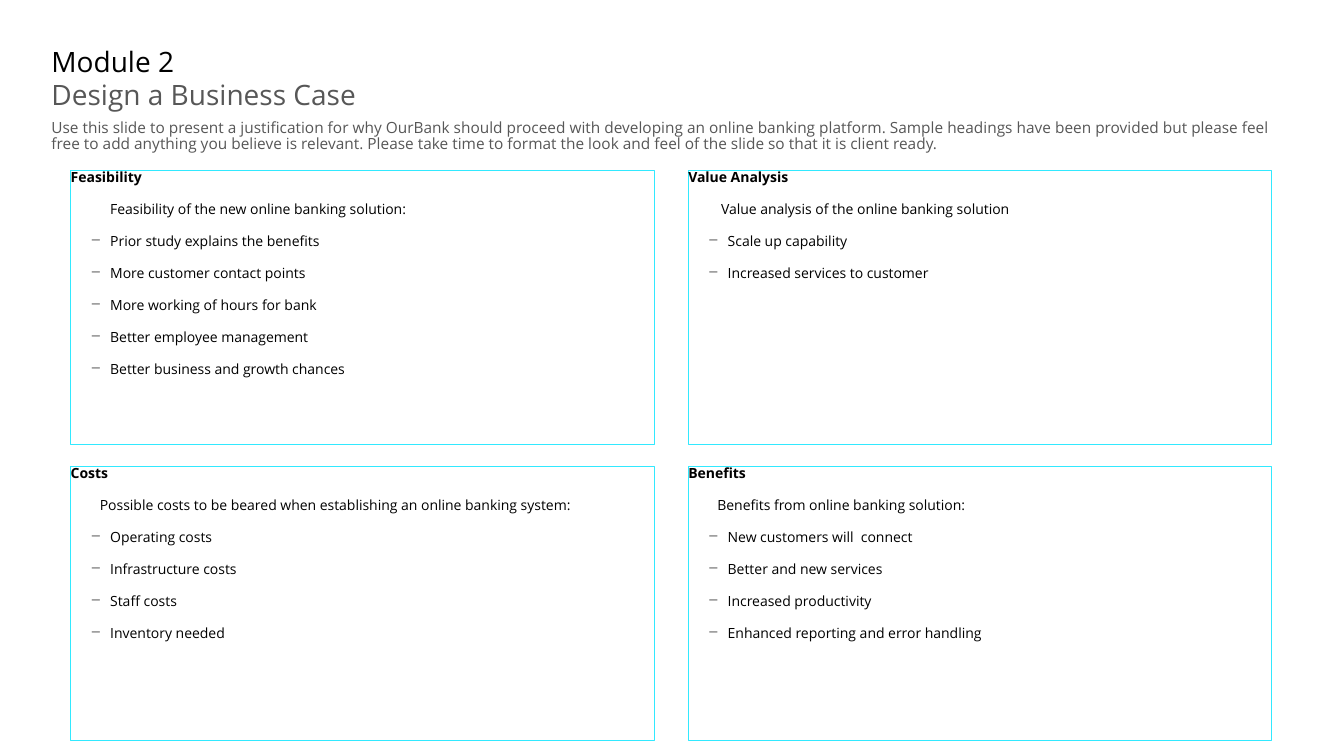
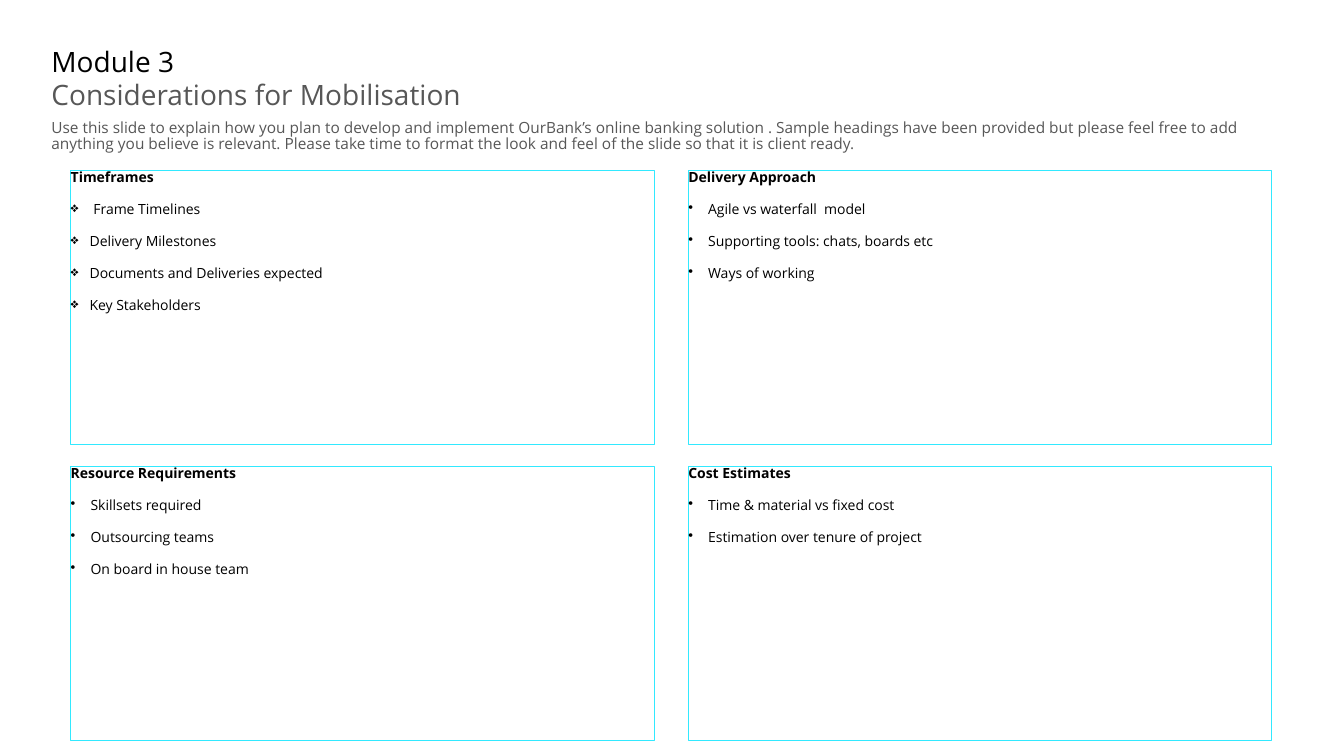
"""Build two module slides, each with a heading block and four framed panels."""
from lxml import etree
from pptx import Presentation
from pptx.dml.color import RGBColor
from pptx.enum.shapes import MSO_SHAPE
from pptx.enum.text import MSO_ANCHOR, PP_ALIGN
from pptx.oxml.ns import qn
from pptx.util import Pt

RECTANGLE = MSO_SHAPE.RECTANGLE
TOP, MIDDLE, LEFT = MSO_ANCHOR.TOP, MSO_ANCHOR.MIDDLE, PP_ALIGN.LEFT

FONT = "Open Sans"
BLACK, GREY, CYAN = "000000", "575757", "32E9FF"
TITLE_ONLY = 5
LINE_SPACING = 0.9

HEADING_LEFT = 36.7
TITLE_AREA = (HEADING_LEFT, 31.7, 721.4, 26.6)
SUBTITLE_AREA = (HEADING_LEFT, 58.3, 721.4, 29.5)
GUIDANCE_AREA = (HEADING_LEFT, 85.7, 887, 31.7)

GRID_LEFT, GRID_TOP = 50.5, 121.7
PANEL_WIDTH, PANEL_HEIGHT = 416.9, 195.8
COLUMN_GAP, ROW_GAP = 24.2, 16
COLUMNS = 2

DASH = {"bullet": "−", "indent": 28.2, "hang": 14.2}
DOT = {"bullet": "•", "indent": 14.2, "hang": 14.2}
DIAMOND = {"bullet": "❖", "indent": 13.5, "hang": 13.5}
WIDE_DIAMOND = {"bullet": "❖", "indent": 16.2, "hang": 16.2}


def lead(indent):
    """Return the style of an unbulleted opening line."""
    return {"bullet": None, "indent": indent, "hang": 0}


SLIDES = [
    {
        "title": "Module 2",
        "subtitle": "Design a Business Case",
        "guidance": "Use this slide to present a justification for why OurBank should proceed "
                    "with developing an online banking platform. Sample headings have been "
                    "provided but please feel free to add anything you believe is relevant. "
                    "Please take time to format the look and feel of the slide so that it is "
                    "client ready.",
        "panels": [
            ("Feasibility", [
                (lead(28.2), ["Feasibility of the new online banking solution:"]),
                (DASH, ["Prior study explains the benefits",
                        "More customer contact points",
                        "More working of hours for bank",
                        "Better employee management",
                        "Better business and growth chances"]),
            ]),
            ("Value Analysis", [
                (lead(23.4), ["Value analysis of the online banking solution"]),
                (DASH, ["Scale up capability", "Increased services to customer"]),
            ]),
            ("Costs", [
                (lead(20.8), ["Possible costs to be beared when establishing an online "
                              "banking system:"]),
                (DASH, ["Operating costs", "Infrastructure costs", "Staff costs",
                        "Inventory needed"]),
            ]),
            ("Benefits", [
                (lead(20.8), ["Benefits from online banking solution:"]),
                (DASH, ["New customers will  connect",
                        "Better and new services",
                        "Increased productivity",
                        "Enhanced reporting and error handling"]),
            ]),
        ],
    },
    {
        "title": "Module 3",
        "subtitle": "Considerations for Mobilisation",
        "guidance": "Use this slide to explain how you plan to develop and implement OurBank’s "
                    "online banking solution . Sample headings have been provided but please "
                    "feel free to add anything you believe is relevant. Please take time to "
                    "format the look and feel of the slide so that it is client ready.",
        "panels": [
            ("Timeframes", [
                (WIDE_DIAMOND, ["Frame Timelines"]),
                (DIAMOND, ["Delivery Milestones", "Documents and Deliveries expected",
                           "Key Stakeholders"]),
            ]),
            ("Delivery Approach", [
                (DOT, ["Agile vs waterfall  model", "Supporting tools: chats, boards etc",
                       "Ways of working"]),
            ]),
            ("Resource Requirements", [
                (DOT, ["Skillsets required", "Outsourcing teams", "On board in house team"]),
            ]),
            ("Cost Estimates", [
                (DOT, ["Time & material vs fixed cost", "Estimation over tenure of project"]),
            ]),
        ],
    },
]


def color(value):
    """Turn a hex string into a colour."""
    return RGBColor.from_string(value)


def apply(target, values):
    """Set each named attribute on the target."""
    for name, value in values.items():
        setattr(target, name, value)


def points(area):
    """Convert four numbers to lengths in points."""
    return [Pt(value) for value in area]


def set_frame(frame, anchor=TOP):
    """Remove the margins of a text frame and make it wrap."""
    apply(frame, {"margin_left": 0, "margin_top": 0, "margin_right": 0, "margin_bottom": 0,
                  "word_wrap": True, "vertical_anchor": anchor})


def write(para, text, size, ink, bold=False, gap=0):
    """Put formatted text into a paragraph."""
    apply(para, {"alignment": LEFT, "line_spacing": LINE_SPACING,
                 "space_before": Pt(gap), "space_after": Pt(gap)})
    span = para.add_run()
    span.text = text
    apply(span.font, {"name": FONT, "size": Pt(size), "bold": bold})
    span.font.color.rgb = color(ink)


def set_list_style(para, style):
    """Give a paragraph its indent and bullet."""
    properties = para._p.get_or_add_pPr()
    properties.set("marL", str(Pt(style["indent"])))
    properties.set("indent", str(-Pt(style["hang"])))
    if style["bullet"]:
        etree.SubElement(properties, qn("a:buChar")).set("char", style["bullet"])


def add_label(page, text, area, size):
    """Add a grey text box."""
    box = page.shapes.add_textbox(*points(area))
    set_frame(box.text_frame)
    write(box.text_frame.paragraphs[0], text, size, GREY)


def add_panel(page, index, heading, groups):
    """Add a framed panel at its place in the grid."""
    row, column = divmod(index, COLUMNS)
    area = (GRID_LEFT + column * (PANEL_WIDTH + COLUMN_GAP),
            GRID_TOP + row * (PANEL_HEIGHT + ROW_GAP), PANEL_WIDTH, PANEL_HEIGHT)
    box = page.shapes.add_shape(RECTANGLE, *points(area))
    box.shadow.inherit = False
    box.fill.background()
    box.line.color.rgb = color(CYAN)
    box.line.width = Pt(0.75)
    frame = box.text_frame
    set_frame(frame)
    write(frame.paragraphs[0], heading, 10, BLACK, bold=True, gap=6)
    for style, lines in groups:
        for line in lines:
            para = frame.add_paragraph()
            write(para, line, 10, BLACK, gap=6)
            set_list_style(para, style)


def add_page(deck, content):
    """Add one module slide."""
    page = deck.slides.add_slide(deck.slide_layouts[TITLE_ONLY])
    title = page.shapes.title
    apply(title, dict(zip(("left", "top", "width", "height"), points(TITLE_AREA))))
    set_frame(title.text_frame, MIDDLE)
    write(title.text_frame.paragraphs[0], content["title"], 20, BLACK)
    add_label(page, content["subtitle"], SUBTITLE_AREA, 20)
    add_label(page, content["guidance"], GUIDANCE_AREA, 11)
    for index, (heading, groups) in enumerate(content["panels"]):
        add_panel(page, index, heading, groups)


def main():
    """Build and save the deck."""
    deck = Presentation()
    apply(deck, {"slide_width": Pt(960), "slide_height": Pt(540)})
    for content in SLIDES:
        add_page(deck, content)
    deck.save("out.pptx")


if __name__ == "__main__":
    main()
